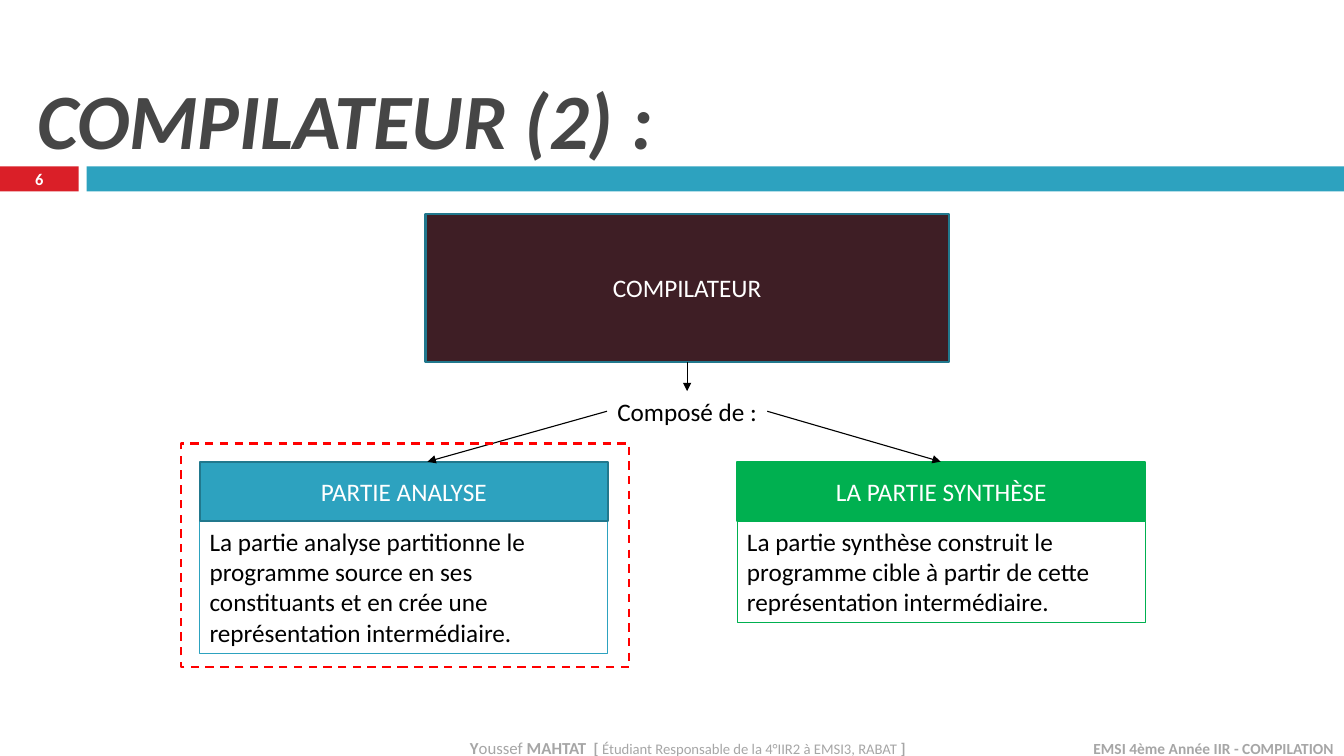
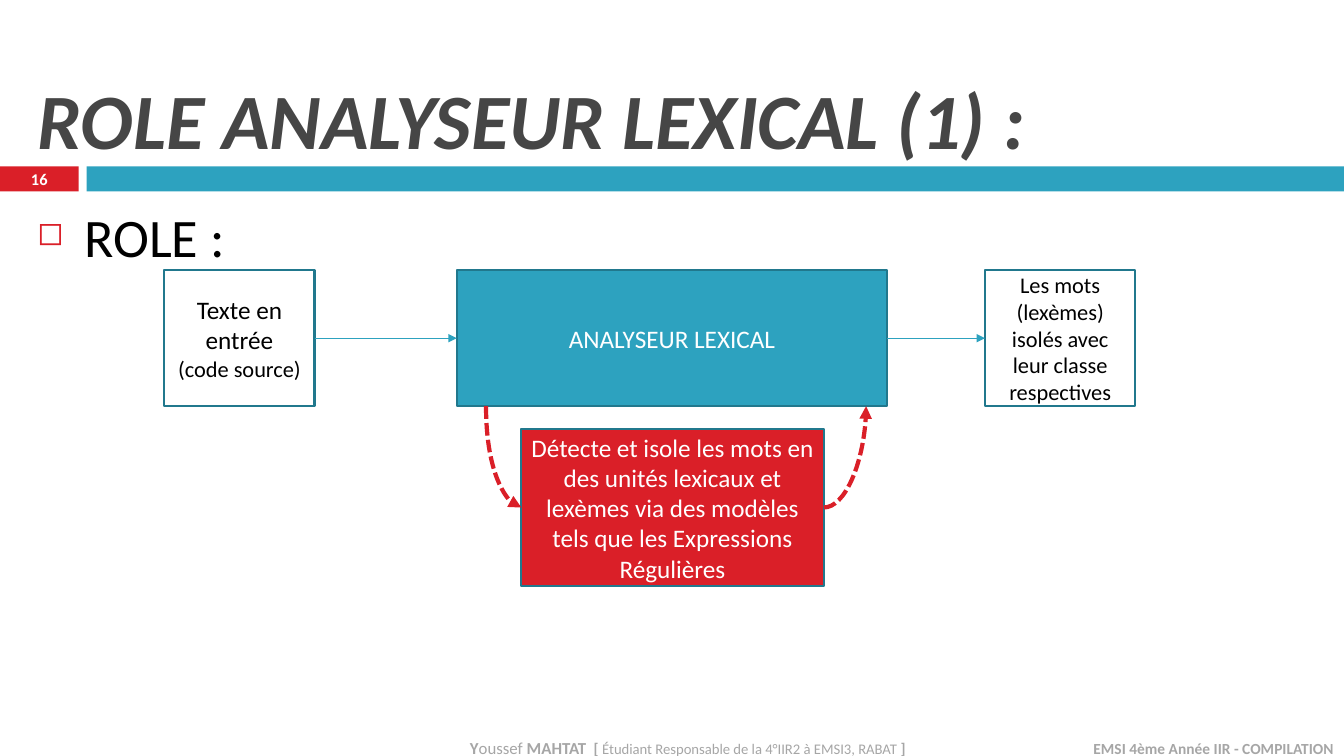
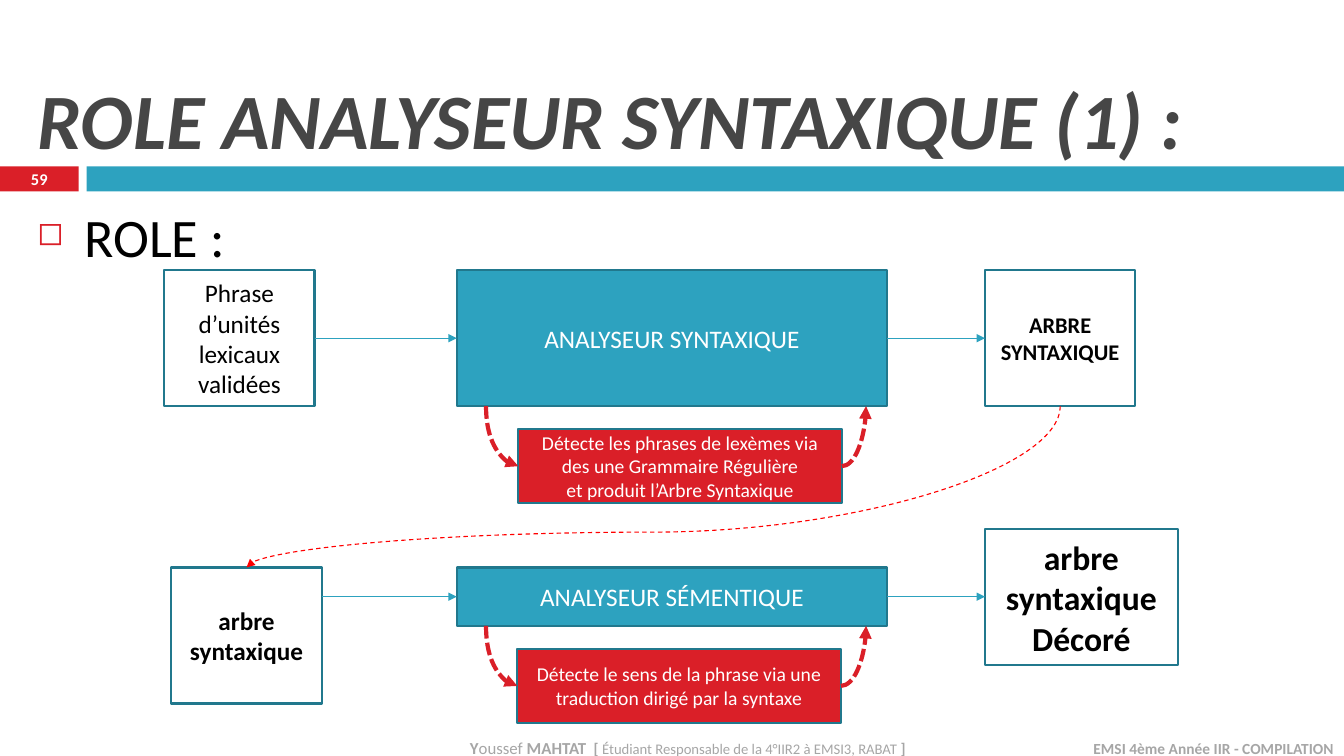
from dataclasses import dataclass
from typing import Any

from pptx import Presentation
from pptx import util as u
from pptx.dml.color import RGBColor
from pptx.enum import dml, shapes, text
from pptx.oxml import ns
from pptx.oxml.xmlchemy import OxmlElement

FONT = "Calibri"
RED = RGBColor(0xDA, 0x1F, 0x28)
TEAL = RGBColor(0x2D, 0xA2, 0xBF)
EDGE = RGBColor(0x21, 0x78, 0x8D)
PLUM = RGBColor(0x3E, 0x1E, 0x25)
GREEN = RGBColor(0x00, 0xB0, 0x50)
PURE = RGBColor(0xFF, 0x00, 0x00)
WHITE = RGBColor(0xFF, 0xFF, 0xFF)
BLACK = RGBColor(0x00, 0x00, 0x00)
DARK = RGBColor(0x46, 0x46, 0x46)
GRAY = RGBColor(0xA6, 0xA6, 0xA6)

LEFT, MID, RIGHT = text.PP_ALIGN.LEFT, text.PP_ALIGN.CENTER, text.PP_ALIGN.RIGHT
TOP, CORE, BASE = (text.MSO_ANCHOR.TOP, text.MSO_ANCHOR.MIDDLE,
                   text.MSO_ANCHOR.BOTTOM)
DASH, DOTS = dml.MSO_LINE.DASH, dml.MSO_LINE.SQUARE_DOT
Point = tuple[float, float]


@dataclass
class Run:
    words: str
    size: float = 18
    color: RGBColor = WHITE
    bold: bool = False
    slant: bool = False


Paras = list[list[Run]]


@dataclass
class Box:
    x: float
    y: float
    w: float
    h: float
    paras: Paras
    fill: RGBColor | None = None
    edge: RGBColor | None = EDGE
    width: float = 1.5
    dash: Any = None
    align: Any = MID
    anchor: Any = CORE

    @property
    def right(self) -> float:
        return self.x + self.w

    @property
    def base(self) -> float:
        return self.y + self.h

    @property
    def midx(self) -> float:
        return self.x + self.w / 2

    @property
    def midy(self) -> float:
        return self.y + self.h / 2


@dataclass
class Flow:
    source: Box
    core: Box
    result: Box
    note: Box


def put(target: Any, form: dict[str, Any]) -> None:
    for name, value in form.items():
        setattr(target, name, value)


def write(frame: Any, paras: Paras, align: Any, anchor: Any) -> None:
    put(frame, {"word_wrap": True, "vertical_anchor": anchor})
    for i, runs in enumerate(paras):
        para = frame.add_paragraph() if i else frame.paragraphs[0]
        para.alignment = align
        for item in runs:
            run = para.add_run()
            run.text = item.words
            put(run.font, {"name": FONT, "size": u.Pt(item.size),
                           "bold": item.bold, "italic": item.slant})
            run.font.color.rgb = item.color


def label(slide: Any, at: tuple[float, ...], paras: Paras,
          align: Any = LEFT, anchor: Any = CORE) -> Any:
    frame = slide.shapes.add_textbox(*map(u.Inches, at)).text_frame
    write(frame, paras, align, anchor)
    return frame


def draw(slide: Any, box: Box) -> None:
    shape = slide.shapes.add_shape(
        shapes.MSO_SHAPE.RECTANGLE,
        *map(u.Inches, (box.x, box.y, box.w, box.h)))
    shape.shadow.inherit = False
    if box.fill is None:
        shape.fill.background()
    else:
        shape.fill.solid()
        shape.fill.fore_color.rgb = box.fill
    if box.edge is None:
        shape.line.fill.background()
    else:
        shape.line.color.rgb = box.edge
        put(shape.line, {"width": u.Pt(box.width), "dash_style": box.dash})
    write(shape.text_frame, box.paras, box.align, box.anchor)


def link(slide: Any, start: Point, end: Point, color: RGBColor,
         width: float = 0.79, dash: Any = None,
         kind: Any = shapes.MSO_CONNECTOR.STRAIGHT) -> Any:
    line = slide.shapes.add_connector(kind, *map(u.Inches, (*start, *end)))
    line.line.color.rgb = color
    put(line.line, {"width": u.Pt(width), "dash_style": dash})
    props = line._element.spPr
    tail = OxmlElement("a:tailEnd")
    tail.set("type", "triangle")
    props.find(ns.qn("a:ln")).append(tail)
    props.append(OxmlElement("a:effectLst"))
    return props


def curve(slide: Any, start: Point, end: Point, color: RGBColor,
          width: float, dash: Any, preset: str, turn: int = 0,
          bend: int | None = None) -> None:
    if turn:
        side = 1 if turn == 270 else -1
        midx, midy = (start[0] + end[0]) / 2, (start[1] + end[1]) / 2
        halfx = side * abs(end[1] - start[1]) / 2
        halfy = abs(end[0] - start[0]) / 2
        start, end = (midx + halfx, midy - halfy), (midx - halfx, midy + halfy)
    props = link(slide, start, end, color, width, dash,
                 shapes.MSO_CONNECTOR.CURVE)
    if turn:
        props.find(ns.qn("a:xfrm")).set("rot", str(turn * 60000))
    geom = props.find(ns.qn("a:prstGeom"))
    geom.set("prst", preset)
    if bend is not None:
        guides = geom.find(ns.qn("a:avLst"))
        if guides is None:
            guides = OxmlElement("a:avLst")
            geom.append(guides)
        guide = OxmlElement("a:gd")
        guide.set("name", "adj1")
        guide.set("fmla", f"val {bend}")
        guides.append(guide)


def base(deck: Any, title: str, page: int) -> Any:
    slide = deck.slides.add_slide(deck.slide_layouts[6])
    for x, w, color in ((0, 0.78, RED), (0.86, 12.47, TEAL)):
        draw(slide, Box(x, 1.65, w, 0.25, [], color, None))
    label(slide, (1.44, 7.33, 7.64, 0.17), [[
        Run("Y", 12, GRAY, True), Run("oussef ", 12, GRAY),
        Run("MAHTAT ", 12, GRAY, True), Run(" [ ", 11, GRAY, True),
        Run("Étudiant Responsable de la 4°IIR2 à EMSI3, RABAT ", 10.5, GRAY),
        Run("]", 11, GRAY, True)]], RIGHT)
    label(slide, (9.97, 7.33, 3.36, 0.18), [[
        Run("EMSI 4ème Année IIR - COMPILATION", 11, GRAY, True)]], RIGHT)
    frame = label(slide, (0.27, 0.17, 12.94, 1.47),
                  [[Run(title, 56, DARK, True, True)]], anchor=BASE)
    frame.margin_bottom = 0
    label(slide, (0, 1.64, 0.78, 0.27),
          [[Run(str(page), 11.7, WHITE, True)]], MID)
    return slide


def role(slide: Any) -> None:
    frame = label(slide, (0.27, 1.97, 12.94, 5.18),
                  [[Run("ROLE :", 38.7, BLACK)]], anchor=TOP)
    props = frame.paragraphs[0]._p.get_or_add_pPr()
    props.set("marL", str(u.Inches(0.47)))
    props.set("indent", str(-u.Inches(0.47)))
    tint = OxmlElement("a:buClr")
    shade = OxmlElement("a:srgbClr")
    shade.set("val", str(RED))
    tint.append(shade)
    props.append(tint)
    for tag, name, value in (("a:buSzPct", "val", "60000"),
                             ("a:buChar", "char", "◻")):
        mark = OxmlElement(tag)
        mark.set(name, value)
        props.append(mark)


def chain(slide: Any, flow: Flow) -> None:
    core, note = flow.core, flow.note
    for box in (core, flow.source, flow.result, note):
        draw(slide, box)
    for first, last in ((flow.source, core), (core, flow.result)):
        link(slide, (first.right, core.midy), (last.x, core.midy), TEAL)
    curve(slide, (core.x + 0.29, core.base), (note.x, note.midy),
          RED, 3, DOTS, "curvedConnector2", 270)
    curve(slide, (note.right, note.midy), (core.x + 4.06, core.base),
          RED, 3, DOTS, "curvedConnector2")


def side(x: float, y: float, paras: Paras, w: float = 1.49) -> Box:
    return Box(x, y, w, 1.35, paras, WHITE)


def stage(y: float, h: float, name: str) -> Box:
    return Box(4.53, y, 4.27, h, [[Run(name)]], TEAL)


def parts(deck: Any) -> None:
    slide = base(deck, "COMPILATEUR (2) :", 6)
    root = Box(4.22, 2.12, 5.19, 1.47, [[Run("COMPILATEUR")]], PLUM)
    draw(slide, root)
    for x, h, name, words, color, edge in (
            (1.98, 1.31, "PARTIE ANALYSE",
             "La partie analyse partitionne le programme source en ses "
             "constituants et en crée une représentation intermédiaire.",
             TEAL, EDGE),
            (7.31, 1.01, "LA PARTIE SYNTHÈSE",
             "La partie synthèse construit le programme cible à partir de "
             "cette représentation intermédiaire.", GREEN, GREEN)):
        draw(slide, Box(x, 5.17, 4.05, h, [[Run(words, color=BLACK)]],
                        None, color, 0.75, align=LEFT, anchor=TOP))
        draw(slide, Box(x, 4.58, 4.05, 0.59, [[Run(name)]], color, edge))
    frame = label(slide, (6.02, 3.88, 1.59, 0.4),
                  [[Run("Composé de :", color=BLACK)]], MID, TOP)
    frame.word_wrap = False
    for start, end in (((6.02, 4.08), (4.24, 4.58)),
                       ((7.61, 4.08), (9.33, 4.58)),
                       ((root.midx, root.base), (root.midx, 3.88))):
        link(slide, start, end, BLACK)
    draw(slide, Box(1.8, 4.4, 4.44, 2.22, [], None, PURE, dash=DASH))


def lexer(deck: Any) -> None:
    slide = base(deck, "ROLE ANALYSEUR LEXICAL (1) :", 16)
    role(slide)
    chain(slide, Flow(
        side(1.63, 2.68, [[Run("Texte en entrée", color=BLACK)],
                          [Run("(code source)", 16, BLACK)]]),
        stage(2.68, 1.35, "ANALYSEUR LEXICAL"),
        side(9.77, 2.68, [[Run("Les mots (lexèmes) isolés avec leur classe "
                               "respectives", 16, BLACK)]]),
        Box(5.17, 4.26, 3, 1.55, [[Run(
            "Détecte et isole les mots en des unités lexicaux et lexèmes via "
            "des modèles tels que les Expressions Régulières")]], RED)))


def parser(deck: Any) -> None:
    slide = base(deck, "ROLE ANALYSEUR SYNTAXIQUE (1) :", 59)
    role(slide)
    syntax = Flow(
        side(1.63, 2.68, [[Run("Phrase d’unités lexicaux validées",
                               color=BLACK)]]),
        stage(2.68, 1.35, "ANALYSEUR SYNTAXIQUE"),
        side(9.77, 2.68, [[Run("ARBRE SYNTAXIQUE", 16, BLACK, True)]]),
        Box(5.14, 4.26, 3.21, 0.73, [
            [Run("Détecte les phrases de lexèmes via des une Grammaire "
                 "Régulière", 14)],
            [Run("et produit l’Arbre Syntaxique", 14)]], RED))
    sense = Flow(
        side(1.7, 5.63, [[Run("arbre syntaxique", 18, BLACK, True)]]),
        stage(5.63, 0.58, "ANALYSEUR SÉMENTIQUE"),
        side(9.77, 5.25, [[Run("arbre syntaxique", 24, BLACK, True)],
                          [Run("Décoré", 24, BLACK, True)]], 1.91),
        Box(5.13, 6.44, 3.21, 0.73, [[Run(
            "Détecte le sens de la phrase via une traduction dirigé par la "
            "syntaxe", 14)]], RED))
    for flow in (syntax, sense):
        chain(slide, flow)
    tree, goal = syntax.result, sense.source
    curve(slide, (tree.midx, tree.base), (goal.midx, goal.y),
          PURE, 0.79, DASH, "curvedConnector3", 90, 78100)


def main() -> None:
    deck = Presentation()
    put(deck, {"slide_width": u.Inches(13.33), "slide_height": u.Inches(7.5)})
    for build in (parts, lexer, parser):
        build(deck)
    deck.save("out.pptx")


if __name__ == "__main__":
    main()
